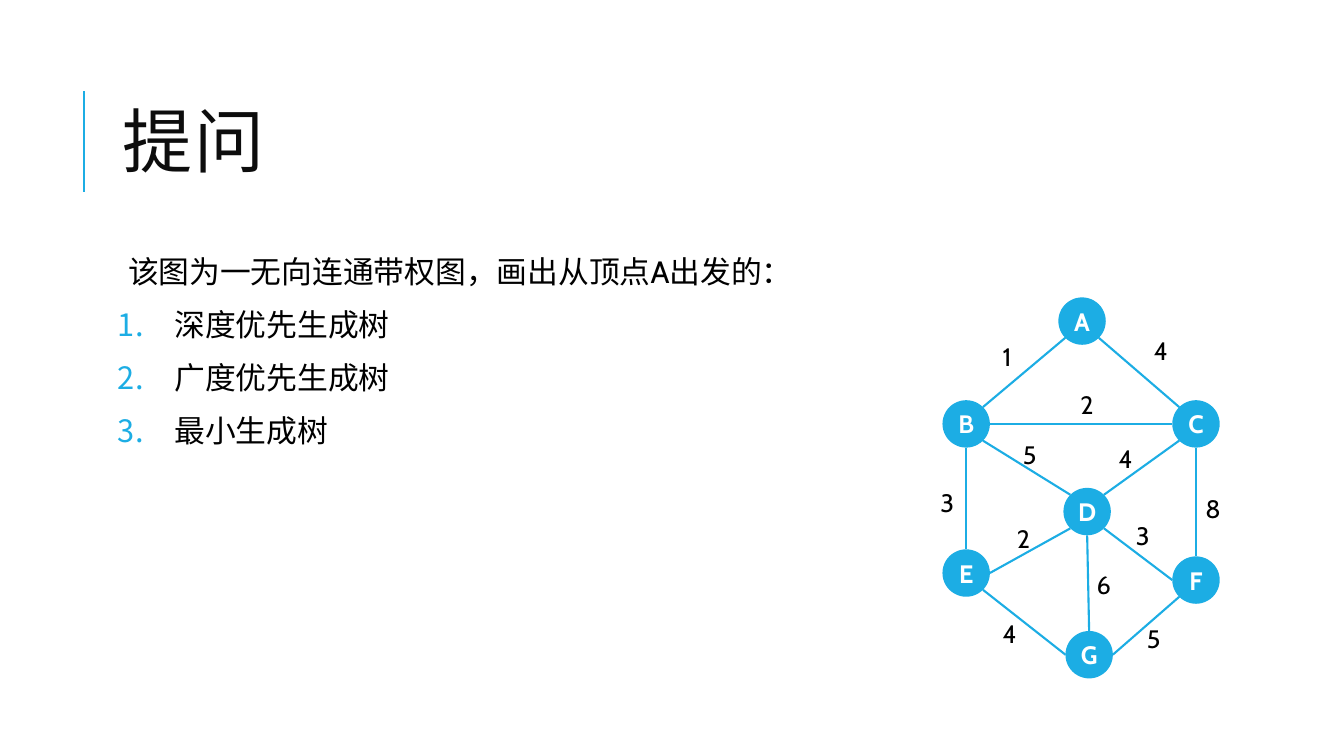
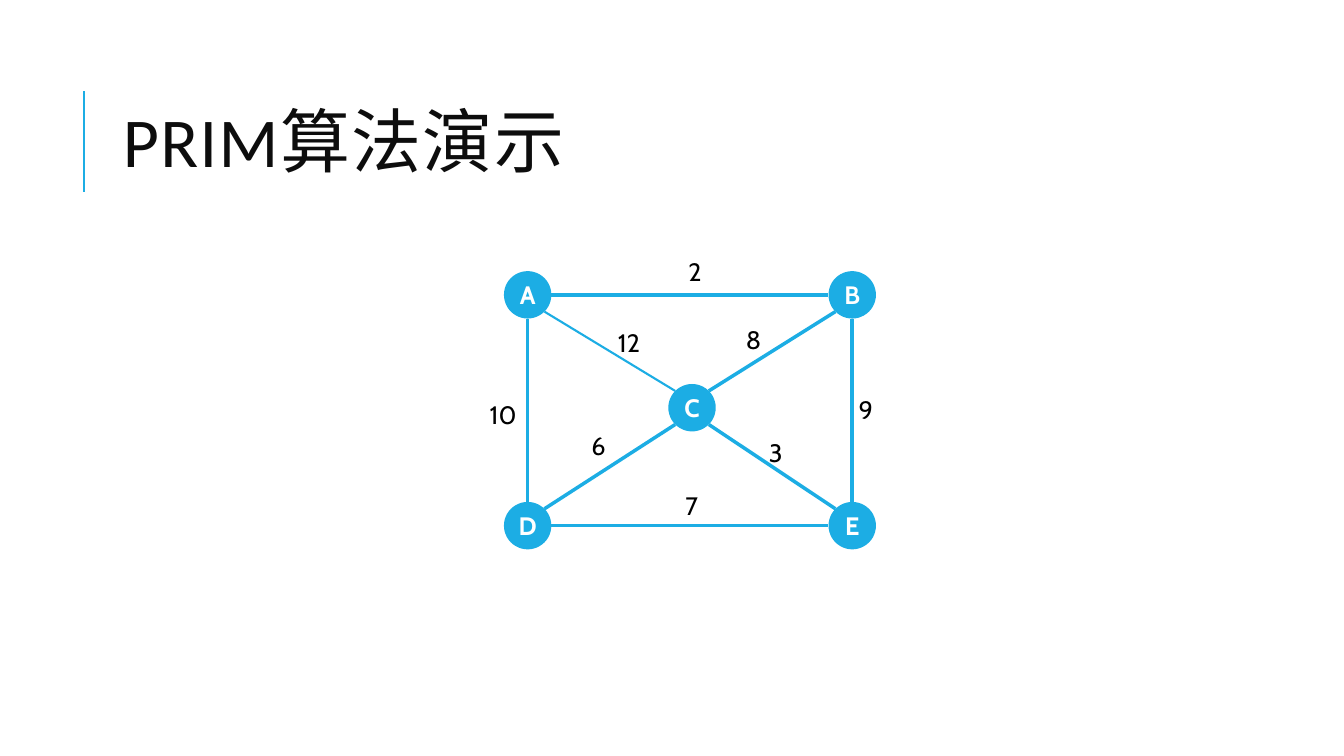
"""Build two slides on weighted graphs and their spanning trees."""
from dataclasses import dataclass
from math import hypot
from typing import Any

from lxml import etree
from pptx import Presentation
from pptx import util as u
from pptx.dml.color import RGBColor
from pptx.enum import shapes, text
from pptx.oxml import ns

COLOURS = {"accent": "1CADE4", "title": "0D0D0D", "body": "000000", "node": "FFFFFF"}
WIDTH, HEIGHT = u.Inches(13.333), u.Inches(7.5)
NODE_SHARE = 3.53
COMPASS = {
    "N": (0, -1), "NE": (1, -1), "E": (1, 0), "SE": (1, 1),
    "S": (0, 1), "SW": (-1, 1), "W": (-1, 0), "NW": (-1, -1),
}
FONTS = {
    "title": {"name": "Calibri", "size": u.Pt(50)},
    "body": {"name": "Cabin", "size": u.Pt(22)},
    "node": {"name": "Cabin", "size": u.Pt(18), "bold": True},
    "weight": {"name": "Cabin", "size": u.Pt(18)},
}
NO_MARGINS = dict.fromkeys(("margin_left", "margin_right", "margin_top", "margin_bottom"), 0)


@dataclass(frozen=True)
class Node:
    """A named vertex centred at percent shares of the slide."""
    name: str
    x: float
    y: float


@dataclass(frozen=True)
class Edge:
    """A weighted edge, its compass ends and the centre of its label."""
    start: str
    start_side: str
    end: str
    end_side: str
    weight: int
    x: float
    y: float
    line: float


@dataclass(frozen=True)
class Graph:
    """The vertices and edges of one drawing."""
    nodes: list[Node]
    edges: list[Edge]


LEFT, RIGHT = 71.89, 88.99
QUESTION_GRAPH = Graph(
    [
        Node("A", 80.51, 42.47), Node("B", LEFT, 56.07), Node("C", RIGHT, 56.07),
        Node("D", 80.89, 67.67), Node("E", LEFT, 75.8), Node("F", RIGHT, 76.73),
        Node("G", 81.04, 86.6),
    ],
    [
        Edge("A", "SW", "B", "NE", 1, 75.15, 47.2, 1.5),
        Edge("A", "SE", "C", "NW", 4, 86.4, 46.4, 1.5),
        Edge("B", "E", "C", "W", 2, 80.93, 53.47, 1.5),
        Edge("B", "SE", "D", "NW", 5, 76.65, 60.13, 1.5),
        Edge("C", "SW", "D", "NE", 4, 83.78, 60.67, 1.5),
        Edge("B", "S", "E", "N", 3, 70.5, 66.4, 1.5),
        Edge("D", "SW", "E", "E", 2, 76.2, 71.2, 1.5),
        Edge("D", "SE", "F", "W", 3, 85.05, 70.8, 1.5),
        Edge("C", "S", "F", "N", 8, 90.23, 67.2, 1.5),
        Edge("E", "SE", "G", "W", 4, 75.15, 83.73, 1.5),
        Edge("F", "SW", "G", "E", 5, 85.88, 84.4, 1.5),
        Edge("D", "S", "G", "N", 6, 82.13, 77.33, 1.5),
    ],
)
WEST, EAST, TOP, BOTTOM = 39.26, 63.41, 39, 69.53
PRIM_GRAPH = Graph(
    [
        Node("A", WEST, TOP), Node("B", EAST, TOP), Node("C", 51.49, 53.93),
        Node("D", WEST, BOTTOM), Node("E", EAST, BOTTOM),
    ],
    [
        Edge("A", "SE", "C", "NW", 12, 47.03, 45.33, 1.5),
        Edge("A", "E", "B", "W", 2, 51.75, 35.87, 2.5),
        Edge("A", "S", "D", "N", 10, 37.5, 54.8, 2.5),
        Edge("B", "S", "E", "N", 9, 64.43, 54.13, 2.5),
        Edge("D", "E", "E", "W", 7, 51.53, 66.8, 2.5),
        Edge("C", "NE", "B", "SW", 8, 56.03, 44.93, 2.5),
        Edge("C", "SW", "D", "NE", 6, 44.55, 58.93, 2.5),
        Edge("C", "SE", "E", "NW", 3, 57.75, 59.87, 2.5),
    ],
)
QUESTION = "该图为一无向连通带权图，画出从顶点A出发的："
TREES = ["深度优先生成树", "广度优先生成树", "最小生成树"]


def across(share: float) -> int:
    """Turn a percent share of the slide width into a length."""
    return round(WIDTH * share / 100)


def down(share: float) -> int:
    """Turn a percent share of the slide height into a length."""
    return round(HEIGHT * share / 100)


def colour(name: str) -> RGBColor:
    """Look up a named colour."""
    return RGBColor.from_string(COLOURS[name])


def apply(target: Any, values: dict[str, Any]) -> None:
    """Set each format value on the target."""
    for name, value in values.items():
        setattr(target, name, value)


def write(paragraph: Any, content: str, font: str, ink: str) -> Any:
    """Add a formatted run to a paragraph."""
    run = paragraph.add_run()
    run.text = content
    apply(run.font, FONTS[font])
    run.font.color.rgb = colour(ink)
    return run


def add_line(parent: Any, start: tuple[int, int], end: tuple[int, int], width: float) -> None:
    """Draw a plain accent line."""
    line = parent.shapes.add_connector(shapes.MSO_CONNECTOR.STRAIGHT, *start, *end)
    line.line.color.rgb = colour("accent")
    line.line.width = u.Pt(width)
    etree.SubElement(line._element.spPr, ns.qn("a:effectLst"))


def add_title(slide: Any, content: str) -> None:
    """Draw the title with the accent bar on its left."""
    add_line(slide, (across(6.25), down(25.4)), (across(6.25), down(12.06)), 1.5)
    box = slide.shapes.add_textbox(across(8.4), down(8.53), across(79.73), down(21.87))
    apply(box.text_frame, {"word_wrap": True, "vertical_anchor": text.MSO_ANCHOR.MIDDLE})
    paragraph = box.text_frame.paragraphs[0]
    paragraph.line_spacing = 0.8
    run = write(paragraph, content, "title", "title")
    run._r.get_or_add_rPr().set("spc", "100")


def number(paragraph: Any) -> None:
    """Give a paragraph an automatic accent-coloured number."""
    properties = paragraph._p.get_or_add_pPr()
    tint = etree.SubElement(properties, ns.qn("a:buClr"))
    etree.SubElement(tint, ns.qn("a:srgbClr"), val=COLOURS["accent"])
    etree.SubElement(properties, ns.qn("a:buAutoNum"), type="arabicPeriod")


def add_question(slide: Any, question: str, tasks: list[str]) -> None:
    """Write the question and its numbered tasks."""
    box = slide.shapes.add_textbox(across(8.4), down(33.33), across(79.73), down(58.67))
    frame = box.text_frame
    apply(frame, {"word_wrap": True} | dict.fromkeys(NO_MARGINS, u.Inches(0.05)))
    for index, content in enumerate([question, *tasks]):
        paragraph = frame.add_paragraph() if index else frame.paragraphs[0]
        margin = u.Inches(0.56 if index else 0.1)
        properties = paragraph._p.get_or_add_pPr()
        properties.set("marL", str(margin))
        if index:
            properties.set("indent", str(-margin))
            number(paragraph)
        apply(paragraph, {
            "line_spacing": 0.9,
            "space_before": u.Pt(12 if index else 0),
            "space_after": u.Pt(2),
        })
        write(paragraph, content, "body", "body")


def rim(node: Node, side: str) -> tuple[int, int]:
    """Find the point of a node's circle on a compass side."""
    x, y = COMPASS[side]
    reach = across(NODE_SHARE) / 2 / hypot(x, y)
    return round(across(node.x) + x * reach), round(down(node.y) + y * reach)


def add_node(parent: Any, node: Node) -> None:
    """Draw a vertex as a filled circle with its name."""
    size = across(NODE_SHARE)
    shape = parent.shapes.add_shape(
        shapes.MSO_SHAPE.OVAL, across(node.x) - size // 2, down(node.y) - size // 2, size, size)
    shape.shadow.inherit = False
    shape.fill.solid()
    shape.fill.fore_color.rgb = colour("accent")
    shape.line.fill.background()
    apply(shape.text_frame, NO_MARGINS | {
        "word_wrap": False, "vertical_anchor": text.MSO_ANCHOR.MIDDLE})
    paragraph = shape.text_frame.paragraphs[0]
    paragraph.alignment = text.PP_ALIGN.CENTER
    write(paragraph, node.name, "node", "node")


def add_weight(parent: Any, edge: Edge) -> None:
    """Write the weight of an edge beside it."""
    label = str(edge.weight)
    width, height = across(1.5 + 1.05 * len(label)), down(5.33)
    box = parent.shapes.add_textbox(
        across(edge.x) - width // 2, down(edge.y) - height // 2, width, height)
    apply(box.text_frame, {
        "word_wrap": False, "auto_size": text.MSO_AUTO_SIZE.SHAPE_TO_FIT_TEXT})
    write(box.text_frame.paragraphs[0], label, "weight", "body")


def add_graph(parent: Any, graph: Graph) -> None:
    """Draw the nodes, edges and weights of a graph."""
    nodes = {node.name: node for node in graph.nodes}
    for node in graph.nodes:
        add_node(parent, node)
    for edge in graph.edges:
        add_line(parent, rim(nodes[edge.start], edge.start_side),
                 rim(nodes[edge.end], edge.end_side), edge.line)
    for edge in graph.edges:
        add_weight(parent, edge)


def main() -> None:
    """Build and save the presentation."""
    presentation = Presentation()
    apply(presentation, {"slide_width": WIDTH, "slide_height": HEIGHT})
    blank = presentation.slide_layouts[6]

    question = presentation.slides.add_slide(blank)
    add_title(question, "提问")
    add_question(question, QUESTION, TREES)
    add_graph(question.shapes.add_group_shape(), QUESTION_GRAPH)

    prim = presentation.slides.add_slide(blank)
    add_title(prim, "PRIM算法演示")
    add_graph(prim, PRIM_GRAPH)
    presentation.save("out.pptx")


if __name__ == "__main__":
    main()
